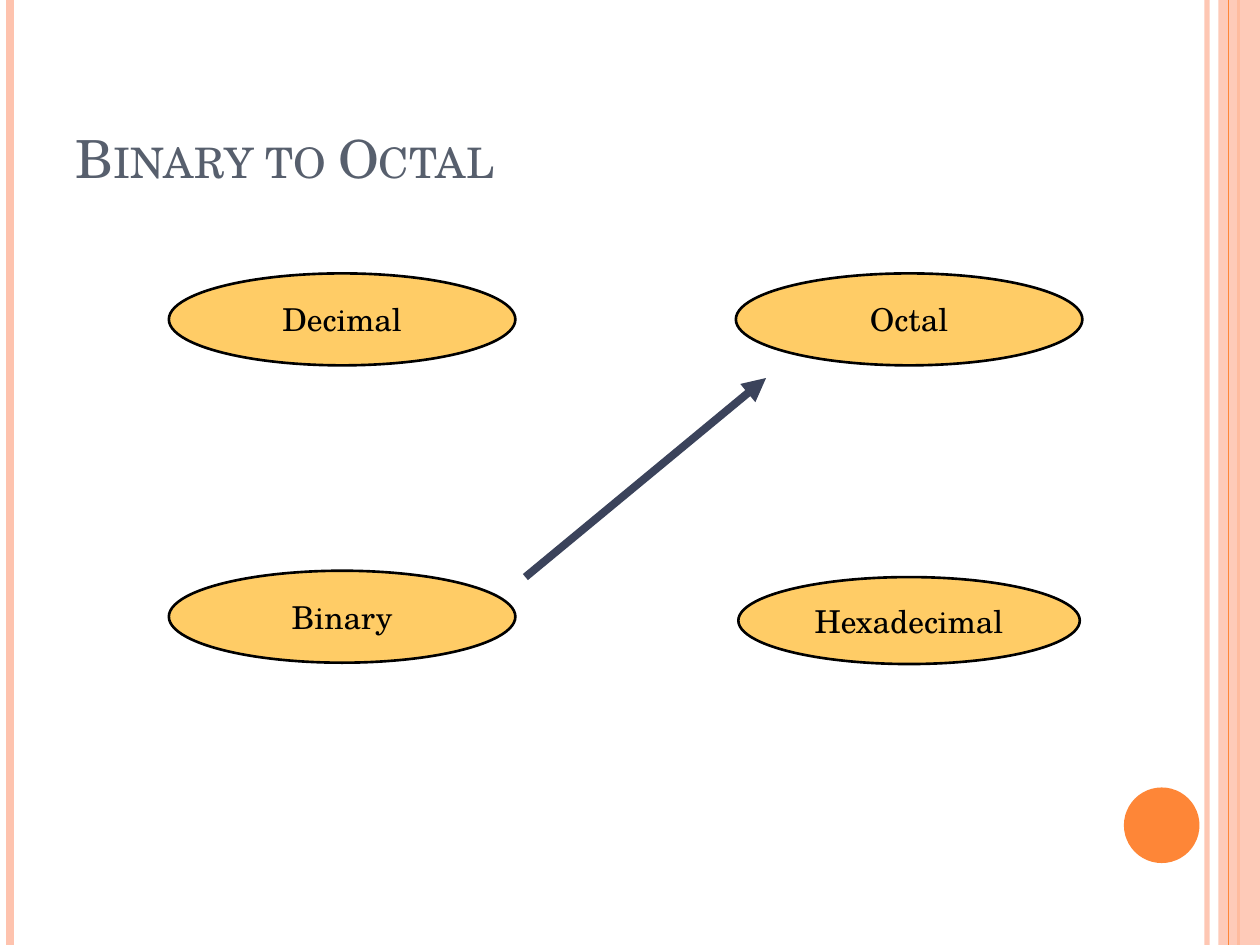
from pptx import Presentation
from pptx.dml.color import RGBColor
from pptx.enum.shapes import MSO_CONNECTOR as Conn, MSO_SHAPE as Kind
from pptx.enum.text import MSO_ANCHOR as Anchor, MSO_AUTO_SIZE as Fit, PP_ALIGN as Align
from pptx.oxml.ns import qn
from pptx.util import Inches, Pt
from lxml.etree import SubElement


def rgb(code):
    return RGBColor.from_string(code)


def fade(item, percent):
    """Set the opacity of every colour in a shape's own formatting."""
    for tint in item._element.spPr.iter(qn("a:srgbClr")):
        SubElement(tint, qn("a:alpha"), val=str(percent * 1000))


class Deck:
    font = "TeX Gyre Schola"
    peach, orange, amber = "FEC3AE", "FE8637", "FFCC66"
    slate, navy, black = "575F6D", "3B435B", "000000"

    def __init__(self):
        self.prs = Presentation()
        self.prs.slide_width, self.prs.slide_height = Inches(10), Inches(7.5)
        self.slide = self.prs.slides.add_slide(self.prs.slide_layouts[5])

    def add_text(self, para, text, size, color):
        run = para.add_run()
        run.text = text
        run.font.name, run.font.size = self.font, Pt(size)
        run.font.color.rgb = rgb(color)
        return run

    def title(self, text, box):
        head = self.slide.shapes.title
        head.left, head.top, head.width, head.height = map(Inches, box)
        frame = head.text_frame
        frame.vertical_anchor, frame.word_wrap = Anchor.BOTTOM, True
        frame.auto_size = Fit.NONE
        para = frame.paragraphs[0]
        para.alignment = Align.LEFT
        run = self.add_text(para, text, 30, self.slate)
        run.font._element.set("cap", "small")

    def shape(self, kind, box, fill):
        item = self.slide.shapes.add_shape(kind, *map(Inches, box))
        item.shadow.inherit = False
        item.fill.solid()
        item.fill.fore_color.rgb = rgb(fill)
        item.line.fill.background()
        return item

    def node(self, text, box, fit=Fit.NONE):
        item = self.shape(Kind.OVAL, box, self.amber)
        item.line.color.rgb, item.line.width = rgb(self.black), Pt(1.5)
        frame = item.text_frame
        frame.word_wrap, frame.auto_size = False, fit
        frame.vertical_anchor = Anchor.MIDDLE
        para = frame.paragraphs[0]
        para.alignment = Align.CENTER
        self.add_text(para, text, 18, self.black)

    def line(self, start, end, color, width):
        item = self.slide.shapes.add_connector(
            Conn.STRAIGHT, *map(Inches, start + end))
        item.line.color.rgb, item.line.width = rgb(color), Pt(width)
        SubElement(item._element.spPr, qn("a:effectLst"))
        return item

    def stripe(self, x, color, width):
        return self.line((x, 0), (x, 7.5), color, width)

    def arrow(self, start, end):
        item = self.line(start, end, self.navy, 4.5)
        outline = item._element.spPr.find(qn("a:ln"))
        SubElement(outline, qn("a:tailEnd"), type="triangle")


def main():
    deck = Deck()

    # Side bands
    fade(deck.stripe(9.58, deck.peach, 3), 93)
    deck.stripe(0.08, deck.peach, 4.5)
    deck.stripe(9.83, deck.orange, 1.5)
    fade(deck.shape(Kind.RECTANGLE, (9.67, 0, 0.33, 7.5), deck.peach), 87)
    deck.stripe(9.75, deck.orange, 0.75)
    deck.shape(Kind.OVAL, (8.92, 6.25, 0.6, 0.6), deck.orange)

    deck.title("Binary to Octal", (0.5, 0.3, 8.17, 1.25))

    # Number systems
    deck.node("Hexadecimal", (5.86, 4.58, 2.71, 0.69), Fit.SHAPE_TO_FIT_TEXT)
    left, right, top, low = 1.34, 5.84, 2.17, 4.53
    for text, x, y in (("Decimal", left, top), ("Octal", right, top),
                       ("Binary", left, low)):
        deck.node(text, (x, y, 2.75, 0.73))
    deck.arrow((4.17, 4.58), (6.08, 3))

    deck.prs.save("out.pptx")


if __name__ == "__main__":
    main()
